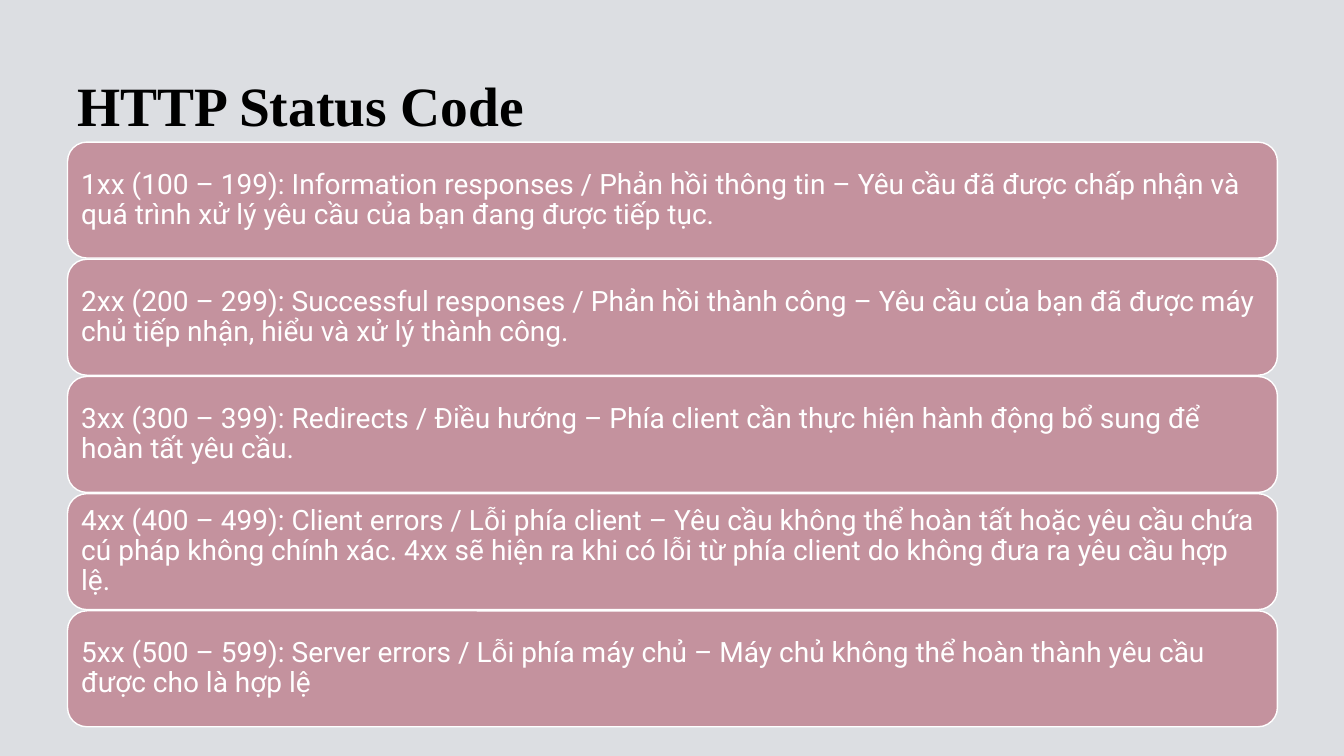
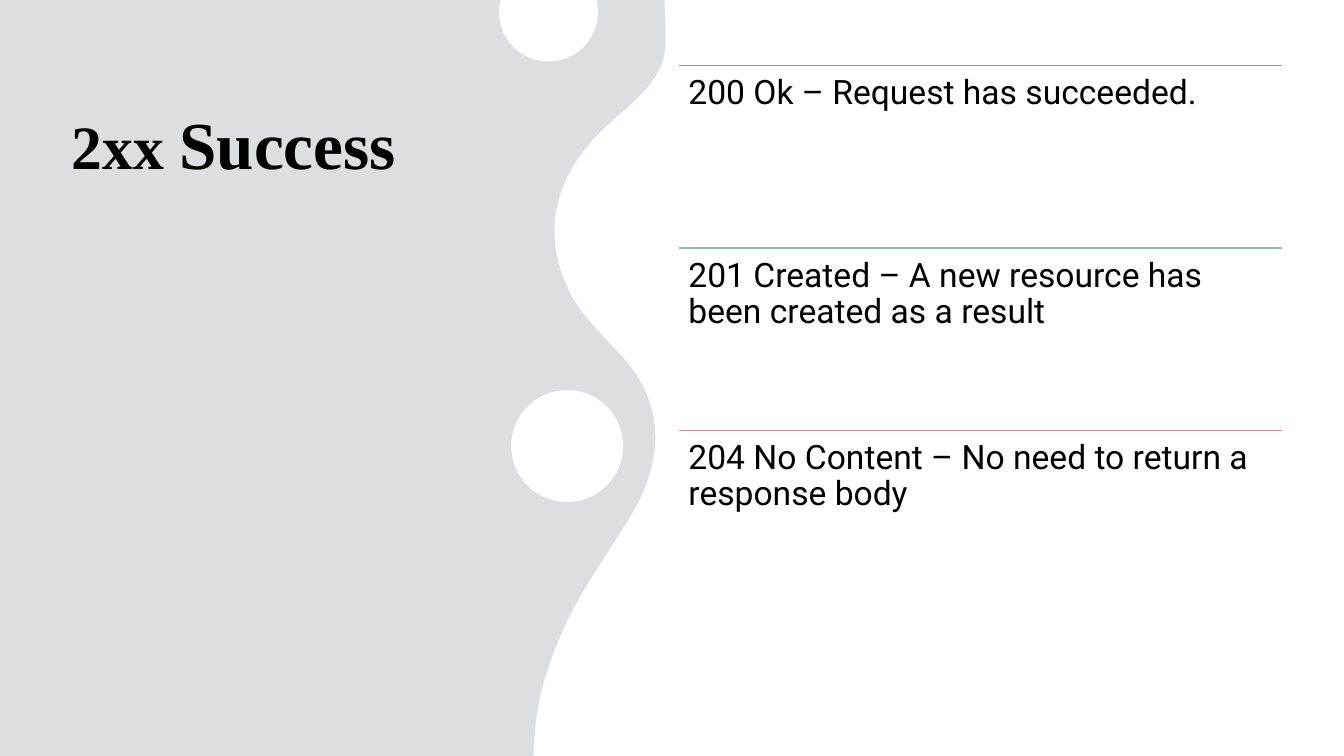
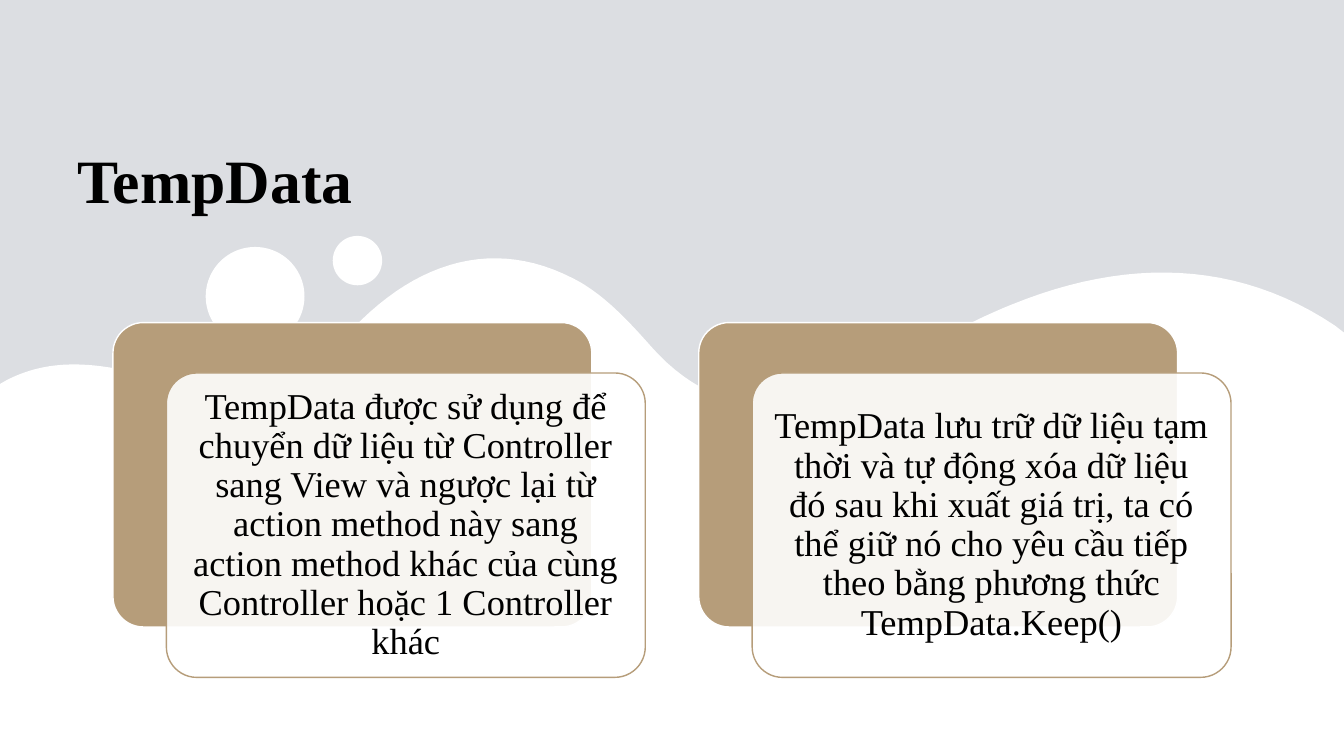
from dataclasses import dataclass
from typing import Iterable, NamedTuple, Optional

from lxml import etree
from pptx import Presentation
from pptx import util as u
from pptx.dml.color import RGBColor
from pptx.enum import shapes, text
from pptx.oxml.ns import qn

Inches = u.Inches


@dataclass(frozen=True)
class Theme:
    # Colours
    background: str = "E2E4E8"
    veil: str = "AEAEAE"
    white: str = "FFFFFF"
    black: str = "000000"
    rose: str = "C4929E"
    clay: str = "BA897F"
    teal: str = "89BFBD"
    sand: str = "B69D7A"
    # Fonts
    heading: str = "Times New Roman"
    body: str = "Roboto"
    # Type sizes
    title: float = 44
    title_small: float = 39.6
    title_large: float = 48
    band: float = 20
    entry: float = 24
    card: float = 26


THEME = Theme()
WIDTH, HEIGHT = 13.33, 7.5


class Box(NamedTuple):
    left: float
    top: float
    width: float
    height: float

    def shifted(self, dx: float = 0, dy: float = 0) -> "Box":
        return self._replace(left=self.left + dx, top=self.top + dy)

    def lengths(self) -> list[u.Length]:
        return [Inches(value) for value in self]


class Run(NamedTuple):
    words: str
    size: float
    font: str = THEME.heading
    color: str = THEME.black
    bold: bool = False


class Entry(NamedTuple):
    words: str
    rule_color: str


class Curve(NamedTuple):
    """Cubic curve from the current point, through two handles to an end."""
    x1: float
    y1: float
    x2: float
    y2: float
    x: float
    y: float


class Point(NamedTuple):
    x: float
    y: float


# Drawing tools

def rgb(color: str) -> RGBColor:
    return RGBColor.from_string(color)


def paint(shape, fill: str, line: Optional[str] = None, opacity: int = 100) -> None:
    shape.shadow.inherit = False
    shape.fill.solid()
    shape.fill.fore_color.rgb = rgb(fill)
    if opacity < 100:
        color = shape.element.spPr.find(".//" + qn("a:srgbClr"))
        etree.SubElement(color, qn("a:alpha"), val=str(opacity * 1000))
    if line:
        shape.line.color.rgb = rgb(line)
        shape.line.width = u.Pt(1)
    else:
        shape.line.fill.background()


def add_block(slide, kind, box: Box, fill: str, line: Optional[str] = None,
              opacity: int = 100, corner: Optional[float] = None):
    block = slide.shapes.add_shape(kind, *box.lengths())
    if corner is not None:
        block.adjustments[0] = corner
    paint(block, fill, line, opacity)
    return block


def write(shape, runs: Iterable[Run], anchor=text.MSO_ANCHOR.TOP,
          align=text.PP_ALIGN.LEFT, inset: Optional[float] = None,
          spacing: float = 0.9) -> None:
    frame = shape.text_frame
    frame.word_wrap = True
    frame.vertical_anchor = anchor
    if inset is not None:
        frame.margin_left = frame.margin_right = Inches(inset)
        frame.margin_top = frame.margin_bottom = Inches(inset)
    paragraph = frame.paragraphs[0]
    paragraph.alignment = align
    paragraph.line_spacing = spacing
    for item in runs:
        run = paragraph.add_run()
        run.text = item.words
        run.font.size = u.Pt(item.size)
        run.font.name = item.font
        run.font.bold = item.bold
        run.font.color.rgb = rgb(item.color)


def add_title(slide, box: Box, runs: Iterable[Run],
              anchor=text.MSO_ANCHOR.BOTTOM) -> None:
    title = slide.shapes.add_textbox(*box.lengths())
    write(title, [run._replace(bold=True) for run in runs], anchor, spacing=1.1)


def add_wave(slide, start: Point, steps: Iterable[Point | Curve]) -> None:
    pieces = 24
    points, here = [], start
    for step in steps:
        end = Point(step.x, step.y)
        if isinstance(step, Curve):
            for i in range(1, pieces + 1):
                t = i / pieces
                s = 1 - t
                weights = s ** 3, 3 * s * s * t, 3 * s * t * t, t ** 3
                xs = here.x, step.x1, step.x2, step.x
                ys = here.y, step.y1, step.y2, step.y
                points.append(Point(sum(w * x for w, x in zip(weights, xs)),
                                    sum(w * y for w, y in zip(weights, ys))))
        else:
            points.append(end)
        here = end
    outline = slide.shapes.build_freeform(Inches(start.x), Inches(start.y))
    outline.add_line_segments([(Inches(p.x), Inches(p.y)) for p in points])
    paint(outline.convert_to_shape(), THEME.white)


def add_bubble(slide, left: float, top: float, size: float) -> None:
    add_block(slide, shapes.MSO_SHAPE.OVAL, Box(left, top, size, size), THEME.white)


def add_rule(slide, left: float, top: float, width: float, color: str) -> None:
    rule = slide.shapes.add_connector(
        shapes.MSO_CONNECTOR.STRAIGHT, Inches(left), Inches(top),
        Inches(left + width), Inches(top))
    rule.line.color.rgb = rgb(color)
    rule.line.width = u.Pt(1)
    etree.SubElement(rule.element.spPr, qn("a:effectLst"))


def new_slide(deck):
    slide = deck.slides.add_slide(deck.slide_layouts[6])
    slide.background.fill.solid()
    slide.background.fill.fore_color.rgb = rgb(THEME.background)
    add_block(slide, shapes.MSO_SHAPE.RECTANGLE, Box(0, 0, WIDTH, HEIGHT),
              THEME.veil, opacity=10)
    return slide


# Slide content

STATUS_CLASSES = [
    "1xx (100 – 199): Information responses / Phản hồi thông tin – Yêu cầu đã "
    "được chấp nhận và quá trình xử lý yêu cầu của bạn đang được tiếp tục.",
    "2xx (200 – 299): Successful responses / Phản hồi thành công – Yêu cầu của "
    "bạn đã được máy chủ tiếp nhận, hiểu và xử lý thành công.",
    "3xx (300 – 399): Redirects / Điều hướng – Phía client cần thực hiện hành "
    "động bổ sung để hoàn tất yêu cầu.",
    "4xx (400 – 499): Client errors / Lỗi phía client – Yêu cầu không thể hoàn "
    "tất hoặc yêu cầu chứa cú pháp không chính xác. 4xx sẽ hiện ra khi có lỗi từ "
    "phía client do không đưa ra yêu cầu hợp lệ.",
    "5xx (500 – 599): Server errors / Lỗi phía máy chủ – Máy chủ không thể hoàn "
    "thành yêu cầu được cho là hợp lệ",
]

SUCCESS_CODES = [
    Entry("200 Ok – Request has succeeded.", THEME.clay),
    Entry("201 Created – A new resource has been created as a result", THEME.teal),
    Entry("204 No Content – No need to return a response body", THEME.rose),
]

TEMPDATA_NOTES = [
    "TempData được sử dụng để chuyển dữ liệu từ Controller sang View và ngược lại "
    "từ action method này sang action method khác của cùng Controller hoặc 1 "
    "Controller khác",
    "TempData lưu trữ dữ liệu tạm thời và tự động xóa dữ liệu đó sau khi xuất giá "
    "trị, ta có thể giữ nó cho yêu cầu tiếp theo bằng phương thức TempData.Keep()",
]

SIDE_WAVE = [
    Point(WIDTH, HEIGHT), Point(5.29, HEIGHT), Point(5.3, 7.34),
    Curve(5.32, 6.96, 5.43, 6.58, 5.61, 6.2),
    Curve(5.79, 5.81, 6.06, 5.45, 6.28, 5.08),
    Curve(6.59, 4.54, 6.61, 3.96, 6.1, 3.46),
    Curve(5.92, 3.27, 5.72, 3.07, 5.62, 2.83),
    Curve(5.35, 2.22, 5.54, 1.65, 6.11, 1.17),
    Curve(6.33, 0.97, 6.58, 0.78, 6.6, 0.46),
    Curve(6.6, 0.37, 6.6, 0.29, 6.6, 0.2),
    Point(6.59, 0), Point(WIDTH, 0),
]

BOTTOM_WAVE = [
    Point(0, HEIGHT), Point(0, 3.81), Point(0.07, 3.77),
    Curve(0.44, 3.58, 0.82, 3.59, 1.22, 3.67),
    Curve(1.65, 3.76, 2.1, 3.83, 2.54, 3.83),
    Curve(2.95, 3.84, 3.23, 3.53, 3.5, 3.26),
    Curve(4.16, 2.57, 4.92, 2.37, 5.68, 2.76),
    Curve(5.98, 2.91, 6.23, 3.18, 6.46, 3.44),
    Curve(7.07, 4.13, 7.82, 4.15, 8.53, 3.79),
    Curve(9.03, 3.54, 9.51, 3.23, 10.04, 3.02),
    Curve(11.17, 2.56, 12.27, 2.58, 13.24, 3.23),
    Point(WIDTH, 3.3), Point(WIDTH, HEIGHT),
]


# Slides

def status_code_slide(deck) -> None:
    slide = new_slide(deck)
    add_title(slide, Box(0.67, 0.61, 6.18, 0.8),
              [Run("HTTP Status Code", THEME.title_small)])
    first_band = Box(0.67, 1.41, 12, 1.15)
    pitch = (6.06 - first_band.top) / (len(STATUS_CLASSES) - 1)
    for i, words in enumerate(STATUS_CLASSES):
        band = add_block(slide, shapes.MSO_SHAPE.ROUNDED_RECTANGLE,
                         first_band.shifted(dy=i * pitch), THEME.rose, THEME.white)
        write(band, [Run(words, THEME.band, THEME.body, THEME.white)],
              text.MSO_ANCHOR.MIDDLE, inset=0.08)


def success_slide(deck) -> None:
    slide = new_slide(deck)
    add_wave(slide, Point(WIDTH, 0), SIDE_WAVE)
    add_bubble(slide, 4.95, -0.37, 0.98)
    add_bubble(slide, 5.07, 3.87, 1.11)
    add_title(slide, Box(0.61, 0.89, 4.05, 5.92),
              [Run("2xx ", THEME.title), Run("Success", THEME.title_large)],
              text.MSO_ANCHOR.TOP)
    first_entry = Box(6.73, 0.65, 5.99, 1.81)
    for i, entry in enumerate(SUCCESS_CODES):
        box = first_entry.shifted(dy=i * first_entry.height)
        add_rule(slide, box.left, box.top, box.width, entry.rule_color)
        write(slide.shapes.add_textbox(*box.lengths()),
              [Run(entry.words, THEME.entry, THEME.body)], inset=0.1)


def tempdata_slide(deck) -> None:
    slide = new_slide(deck)
    add_wave(slide, Point(WIDTH, HEIGHT), BOTTOM_WAVE)
    add_bubble(slide, 3.3, 2.34, 0.49)
    add_bubble(slide, 2.04, 2.45, 0.98)
    add_title(slide, Box(0.67, 0.61, 12, 1.58), [Run("TempData", THEME.title)])
    first_back = Box(1.12, 3.2, 4.75, 3.02)
    rounded = shapes.MSO_SHAPE.ROUNDED_RECTANGLE
    for i, words in enumerate(TEMPDATA_NOTES):
        back = first_back.shifted(dx=i * 5.81)
        add_block(slide, rounded, back, THEME.sand, THEME.white, corner=0.1)
        card = add_block(slide, rounded, back.shifted(0.53, 0.5), THEME.white,
                         THEME.sand, opacity=90, corner=0.1)
        write(card, [Run(words, THEME.card)], text.MSO_ANCHOR.MIDDLE,
              text.PP_ALIGN.CENTER, inset=0.11)


def main() -> None:
    deck = Presentation()
    deck.slide_width, deck.slide_height = Inches(WIDTH), Inches(HEIGHT)
    for build in (status_code_slide, success_slide, tempdata_slide):
        build(deck)
    deck.save("out.pptx")


if __name__ == "__main__":
    main()
